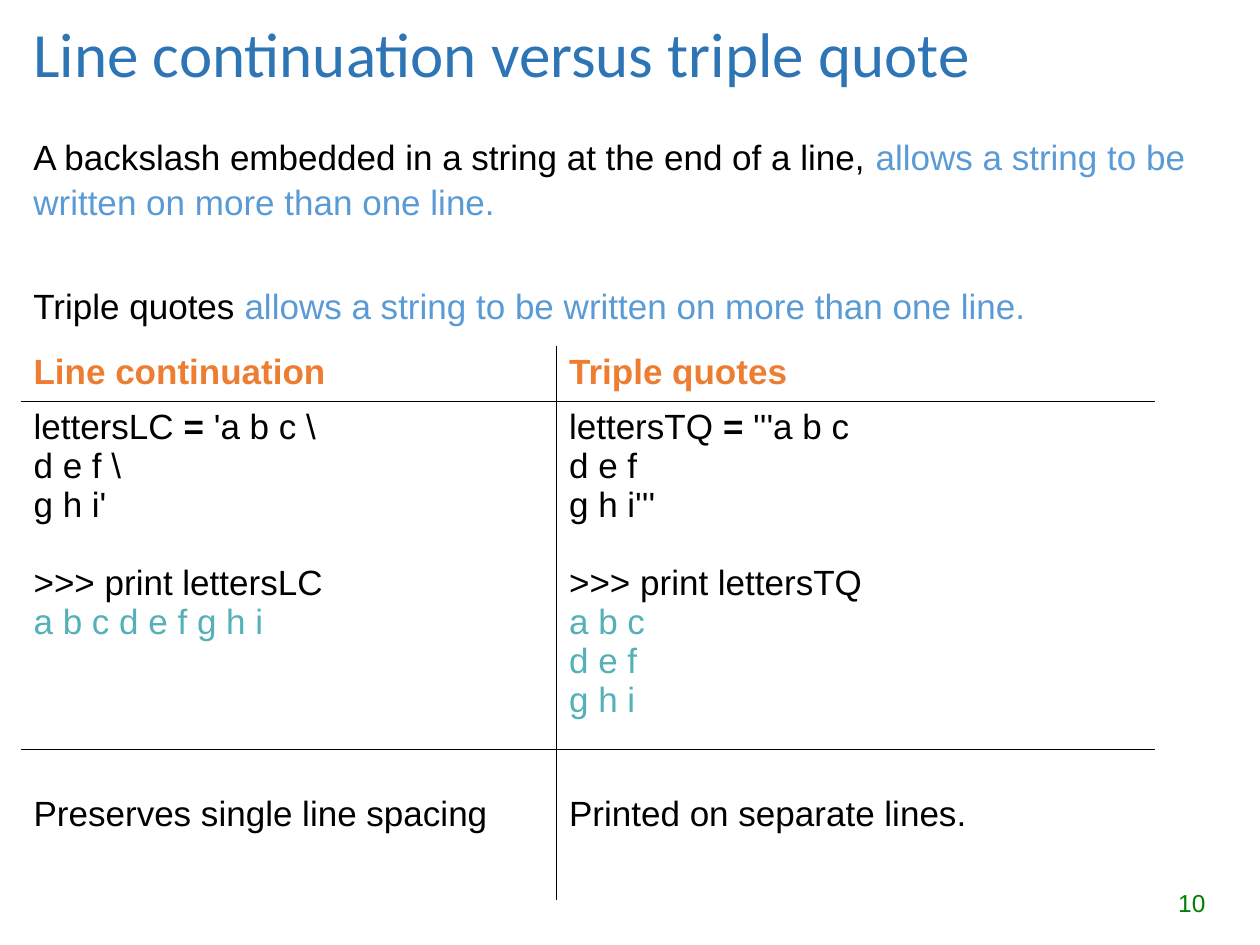
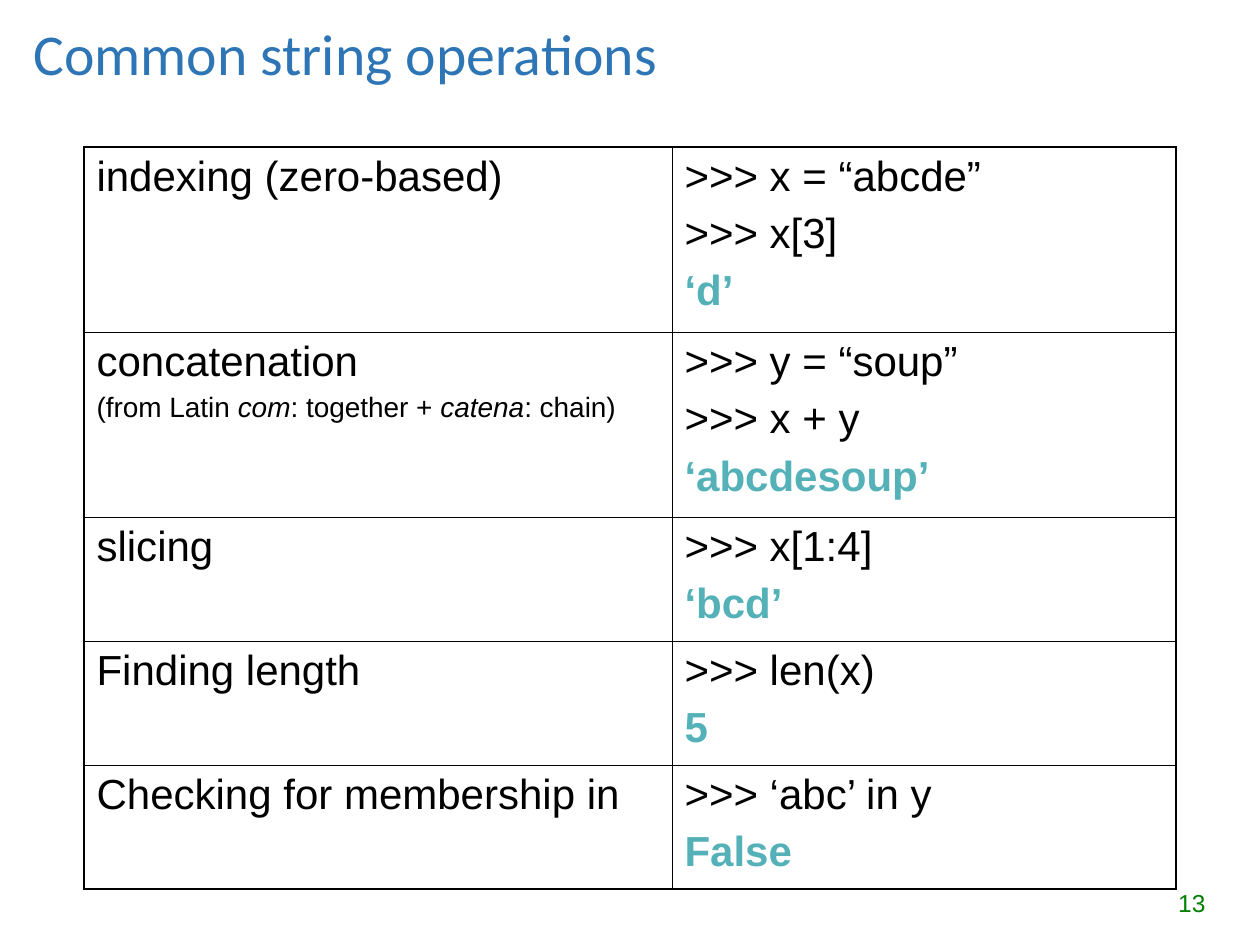
import pptx
import pptx.dml.color
import pptx.enum.text
import pptx.oxml
import pptx.oxml.ns
import pptx.util
from dataclasses import dataclass

Align = pptx.enum.text.PP_ALIGN
Anchor = pptx.enum.text.MSO_ANCHOR


@dataclass(frozen=True)
class Theme:
    # Colours
    white: str = "FFFFFF"
    black: str = "000000"
    title: str = "2E75B6"
    note: str = "5B9BD5"
    head: str = "ED7D31"
    out: str = "54B1B8"
    page: str = "008000"
    # Fonts and type sizes
    face: str = "Arial"
    title_face: str = "Calibri"
    big: int = 36
    mid: int = 33
    code: int = 24
    body: int = 20
    small: int = 16
    foot: int = 14
    # Rules, in points
    thin: float = 0.45
    thick: float = 1.08


LOOK = Theme()
COLS, ROWS = 60, 45  # slide grid, six units to the inch


def run(text, **form):
    """A piece of text with its own format."""
    return text, form


def para(*runs, gap=None):
    """A paragraph; gap is the space before it in points."""
    return runs, gap


def write(frame, paras, size=LOOK.body, color=LOOK.black, face=LOOK.face,
          align=Align.LEFT, gap=0, lead=None):
    """Fill a text frame with paragraphs of plain or formatted runs."""
    frame.word_wrap = True
    for i, item in enumerate(paras):
        runs, own = item if isinstance(item, tuple) else para(item)
        line = frame.paragraphs[0] if i == 0 else frame.add_paragraph()
        line.alignment = align
        line.space_before = pptx.util.Pt(0 if i == 0 else gap if own is None else own)
        if lead:
            line.line_spacing = lead
        for part in runs:
            text, form = part if isinstance(part, tuple) else run(part)
            piece = line.add_run()
            piece.text = text
            font = piece.font
            font.name = face
            font.size = pptx.util.Pt(form.get("size", size))
            font.bold = form.get("bold", False)
            font.italic = form.get("italic", False)
            font.color.rgb = pptx.dml.color.RGBColor.from_string(form.get("color", color))


def border(cell, edges):
    """Draw the edges of a cell, given as {side: (colour, points)}."""
    props = cell._tc.get_or_add_tcPr()
    for side in "LRTB":
        color, width = edges[side]
        props.append(pptx.oxml.parse_xml(
            f'<a:ln{side} {pptx.oxml.ns.nsdecls("a")} w="{pptx.util.Pt(width)}">'
            f'<a:solidFill><a:srgbClr val="{color}"/></a:solidFill></a:ln{side}>'))


class Deck:
    def __init__(self):
        self.show = pptx.Presentation()
        self.show.slide_width = pptx.util.Inches(10)
        self.show.slide_height = pptx.util.Inches(7.5)
        self.slide = None

    def wide(self, cols):
        return round(self.show.slide_width * cols / COLS)

    def high(self, rows):
        return round(self.show.slide_height * rows / ROWS)

    def place(self, x, y, w, h):
        return self.wide(x), self.high(y), self.wide(w), self.high(h)

    def page(self, title, number, size=LOOK.big):
        """Start a slide with its title and page number."""
        self.slide = self.show.slides.add_slide(self.show.slide_layouts[6])
        self.text((1, 1, 52.5, 3), [title], anchor=Anchor.MIDDLE,
                  size=size, color=LOOK.title, face=LOOK.title_face)
        self.text((43, 42, 15, 2.1), [number], size=LOOK.foot,
                  color=LOOK.page, align=Align.RIGHT)

    def text(self, box, paras, anchor=Anchor.TOP, **form):
        frame = self.slide.shapes.add_textbox(*self.place(*box)).text_frame
        frame.vertical_anchor = anchor
        write(frame, paras, **form)

    def table(self, x, y, cols, rows, cells, outer, fill=None, **form):
        """Add a table with thin black inner rules and its own outer rule."""
        box = self.place(x, y, sum(cols), sum(rows))
        grid = self.slide.shapes.add_table(len(rows), len(cols), *box).table
        grid.first_row = grid.horz_banding = False
        for col, w in zip(grid.columns, cols):
            col.width = self.wide(w)
        for row, h in zip(grid.rows, rows):
            row.height = self.high(h)
        inner = LOOK.black, LOOK.thin
        for r, line in enumerate(cells):
            for c, paras in enumerate(line):
                cell = grid.cell(r, c)
                ends = {"L": c == 0, "R": c == len(cols) - 1,
                        "T": r == 0, "B": r == len(rows) - 1}
                border(cell, {side: outer if end else inner for side, end in ends.items()})
                if fill:
                    cell.fill.solid()
                    cell.fill.fore_color.rgb = pptx.dml.color.RGBColor.from_string(fill)
                else:
                    cell.fill.background()
                write(cell.text_frame, paras, **form)
        return grid


def quotes(deck):
    deck.page("Line continuation versus triple quote", "10")

    # Two statements
    claim = run("allows a string to be written on more than one line.", color=LOOK.note)
    deck.text((1, 6, 57, 10), [
        para("A backslash embedded in a string at the end of a line, ", claim),
        para("Triple quotes ", claim, gap=34),
    ], lead=1.07)

    # Side by side
    def head(text):
        return [para(run(text, bold=True, color=LOOK.head))]

    def result(*lines):
        return [para(run(line, color=LOOK.out)) for line in lines]

    equals = run("= ", bold=True)
    skip = 22.3  # one line of body text
    grid = deck.table(1, 16.5, (25.5, 28.5), (2.6, 16.6, 7.15), [
        [head("Line continuation"), head("Triple quotes")],
        [[para("lettersLC ", equals, "'a b c \\"), "d e f \\", "g h i'",
          para(">>> print lettersLC", gap=skip), *result("a b c d e f g h i")],
         [para("lettersTQ ", equals, "'''a b c"), "d e f", "g h i'''",
          para(">>> print lettersTQ", gap=skip), *result("a b c", "d e f", "g h i")]],
        [["Preserves single line spacing"], ["Printed on separate lines."]],
    ], outer=(LOOK.white, LOOK.thin), fill=LOOK.white)
    for c in range(2):
        grid.cell(2, c).margin_top = deck.high(2.16)


def common(deck):
    deck.page("Common string operations", "13", size=LOOK.mid)

    # Operation on the left, session on the right
    def shell(*lines, out):
        return [*(f">>> {line}" for line in lines),
                para(run(out, bold=True, color=LOOK.out))]

    def small(text, italic=False):
        return run(text, size=LOOK.small, italic=italic)

    origin = para(small("(from Latin "), small("com", True), small(": together + "),
                  small("catena", True), small(": chain)"), gap=4)
    short = 5.88
    tall = 1.5 * short
    deck.table(4, 7, (28, 24), (tall, tall, short, short, short), [
        [["indexing (zero-based)"], shell("x = “abcde”", "x[3]", out="‘d’")],
        [["concatenation", origin], shell("y = “soup”", "x + y", out="‘abcdesoup’")],
        [["slicing"], shell("x[1:4]", out="‘bcd’")],
        [["Finding length"], shell("len(x)", out="5")],
        [["Checking for membership in"], shell("‘abc’ in y", out="False")],
    ], outer=(LOOK.black, LOOK.thick), size=LOOK.code, gap=6)


def main():
    deck = Deck()
    quotes(deck)
    common(deck)
    deck.show.save("out.pptx")


if __name__ == "__main__":
    main()
